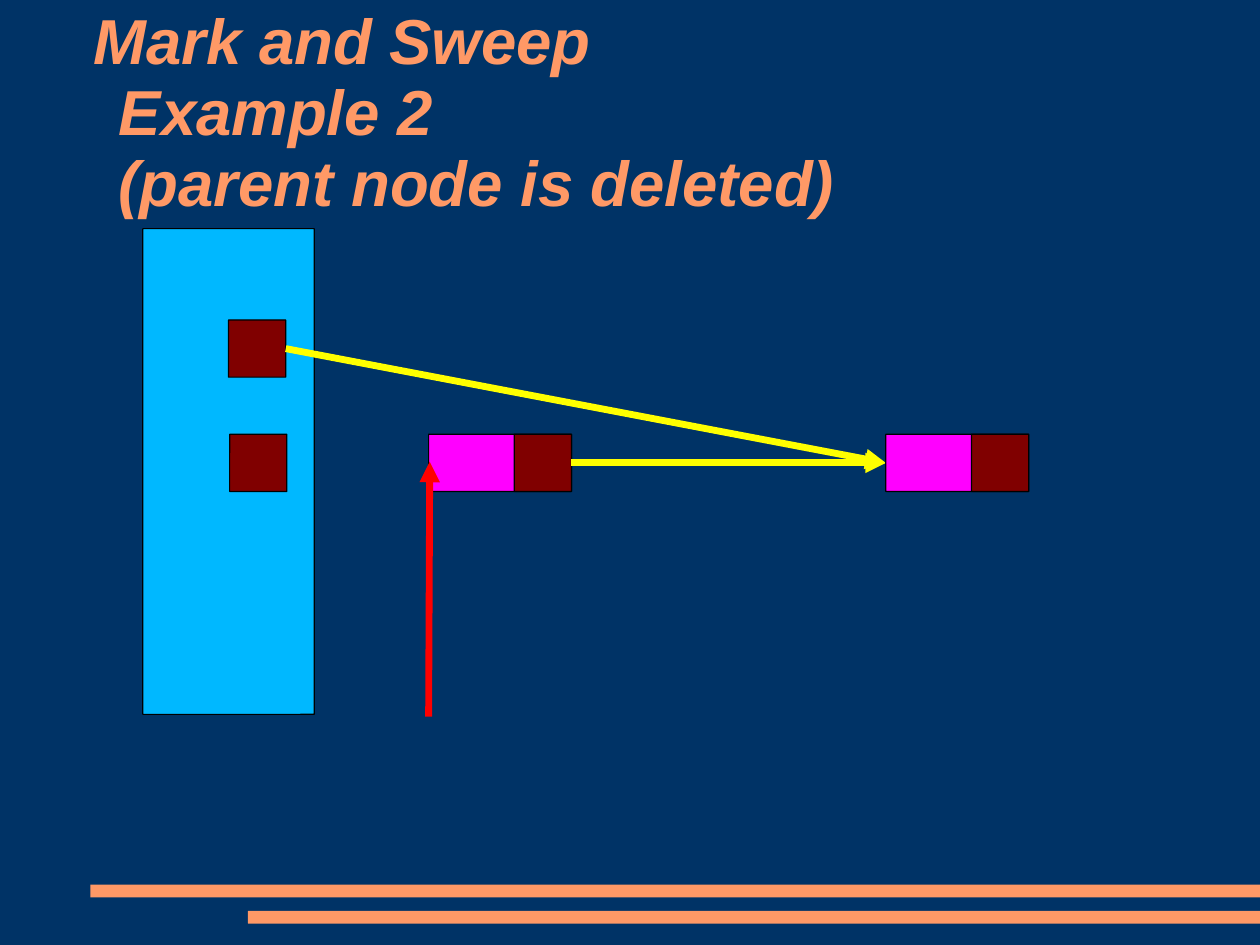
from lxml import etree
from pptx import Presentation
from pptx import util as u
from pptx.dml.color import RGBColor
from pptx.enum import shapes, text
from pptx.oxml import ns

WIDTH, HEIGHT = u.Cm(28), u.Cm(21)
GRID = 0.25  # inches per column and row

NAVY, ORANGE, SKY = "003366", "FF9966", "00B8FF"
MAROON, MAGENTA, YELLOW, RED, BLACK = "800000", "FF00FF", "FFFF00", "FF0000", "000000"

TITLE_LINES = ["Mark and Sweep", "Example 2", "(parent node is deleted)"]

# Footer bars run to the right edge: left, top (inches)
FOOTER_BARS = [(0.79, 7.74), (2.17, 7.97)]
BAR_HEIGHT = 0.11
BAR_ROUNDING, CELL_ROUNDING = 0.017, 0.003

# Grid positions: column, row
ROOT_SET = (5, 8, 6, 17)
ROOT_SLOTS = [(8, 11.2), (8.04, 15.2)]
PARENT_NODE, CHILD_NODE = (15, 15.2), (31, 15.2)
NODE_COLUMNS, CELL = 5, 2

# From, to, colour
POINTERS = [
    ((10, 12.2), (31, 16.2), YELLOW),
    ((15, 25.08), (15.04, 16.16), RED),
    ((20, 16.2), (31, 16.2), YELLOW),
]
POINTER_WIDTH = 4.31


def color(hex_code):
    return RGBColor.from_string(hex_code)


def add_box(slide, left, top, width, height, fill, rounding, outline=None):
    shape = slide.shapes.add_shape(
        shapes.MSO_SHAPE.ROUNDED_RECTANGLE, *map(u.Inches, (left, top, width, height)))
    shape.adjustments[0] = rounding
    shape.shadow.inherit = False
    shape.fill.solid()
    shape.fill.fore_color.rgb = color(fill)
    if outline:
        shape.line.color.rgb = color(outline)
        shape.line.width = u.Pt(0.75)
    else:
        shape.line.fill.background()


def add_grid_box(slide, column, row, columns, rows, fill):
    lengths = (GRID * n for n in (column, row, columns, rows))
    add_box(slide, *lengths, fill, CELL_ROUNDING, BLACK)


def add_node(slide, column, row):
    """Draw a data box whose right end is the pointer cell."""
    add_grid_box(slide, column, row, NODE_COLUMNS, CELL, MAGENTA)
    add_grid_box(slide, column + NODE_COLUMNS - CELL, row, CELL, CELL, MAROON)


def add_pointer(slide, start, end, line_color):
    connector = slide.shapes.add_connector(
        shapes.MSO_CONNECTOR.STRAIGHT, *(u.Inches(GRID * n) for n in start + end))
    connector.line.color.rgb = color(line_color)
    connector.line.width = u.Pt(POINTER_WIDTH)
    outline = connector._element.spPr.find(ns.qn("a:ln"))
    etree.SubElement(outline, ns.qn("a:tailEnd"), type="triangle")
    etree.SubElement(connector._element.spPr, ns.qn("a:effectLst"))


def format_title(title):
    title.left, title.top, title.width, title.height = map(
        u.Inches, (0.81, 0.07, 9.41, 1.86))
    frame = title.text_frame
    frame.text = "\v".join(TITLE_LINES)
    frame.word_wrap = True
    frame.auto_size = text.MSO_AUTO_SIZE.NONE
    frame.vertical_anchor = text.MSO_ANCHOR.MIDDLE
    frame.margin_left = frame.margin_right = frame.margin_top = frame.margin_bottom = 0
    paragraph = frame.paragraphs[0]
    paragraph.alignment = text.PP_ALIGN.LEFT
    paragraph.line_spacing = 0.93
    properties = paragraph._p.get_or_add_pPr()
    properties.set("marL", str(u.Inches(0.23)))
    properties.set("indent", str(u.Inches(-0.22)))
    font = paragraph.font
    font.name, font.size = "Arial", u.Pt(40)
    font.bold = font.italic = True
    font.color.rgb = color(ORANGE)


def main():
    presentation = Presentation()
    presentation.slide_width, presentation.slide_height = WIDTH, HEIGHT
    slide = presentation.slides.add_slide(presentation.slide_layouts.get_by_name("Title Only"))
    slide.background.fill.solid()
    slide.background.fill.fore_color.rgb = color(NAVY)
    format_title(slide.shapes.title)

    for left, top in FOOTER_BARS:
        add_box(slide, left, top, WIDTH.inches - left, BAR_HEIGHT, ORANGE, BAR_ROUNDING)
    add_grid_box(slide, *ROOT_SET, SKY)
    for column, row in ROOT_SLOTS:
        add_grid_box(slide, column, row, CELL, CELL, MAROON)
    add_node(slide, *PARENT_NODE)
    for start, end, line_color in POINTERS:
        add_pointer(slide, start, end, line_color)
    add_node(slide, *CHILD_NODE)
    presentation.save("out.pptx")


if __name__ == "__main__":
    main()
